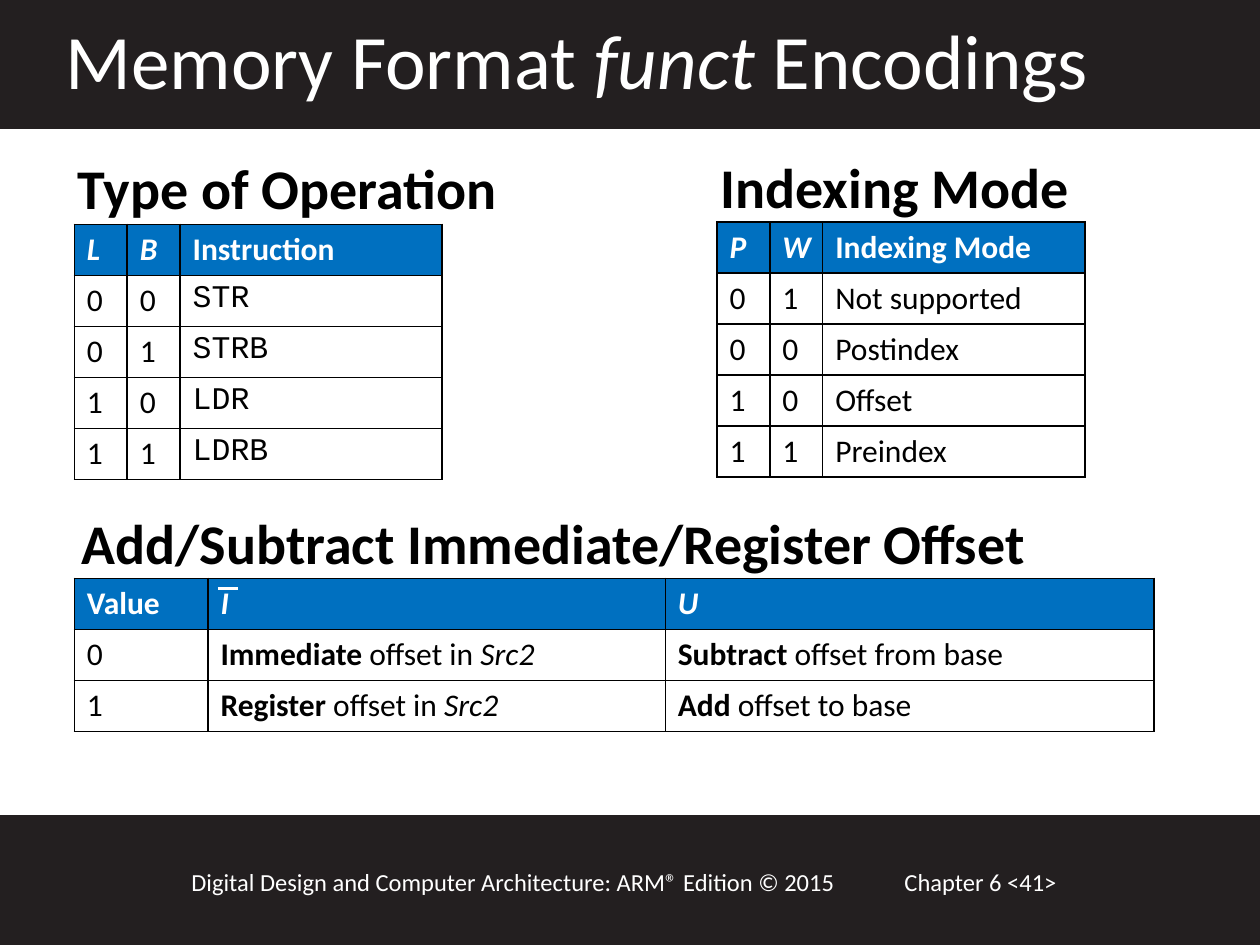
from lxml import etree
from pptx import Presentation
from pptx import util as u
from pptx.dml.color import RGBColor
from pptx.enum import shapes, text
from pptx.oxml.ns import qn

WIDTH, HEIGHT = u.Inches(10), u.Inches(7.5)
DARK, BLUE, WHITE, BLACK = "231F20", "0070C0", "FFFFFF", "000000"
SANS, MONO = "Calibri", "Courier New"
ROW_HEIGHT = 5.4

TITLE = [("Memory Format ", ""), ("funct", "i"), (" Encodings", "")]
TITLE_BOX = (4.2, 0.67, 94.9, 11.2)
BARS = [(0, 86.4, 100, 13.6), (0, 0, 100, 13.47)]
FOOTERS = [
    ("Chapter 6 <41>", (70.8, 91.07, 21.7, 4.53)),
    ("Digital Design and Computer Architecture: ARM® Edition © 2015",
     (14.2, 91.07, 57.5, 4.53)),
]
HEADINGS = [
    ("Type of Operation", (5.2, 16.4, 35.6, 7.87)),
    ("Indexing Mode", (56.2, 16.27, 29.9, 7.87)),
    ("Add/Subtract Immediate/Register Offset", (5.5, 54, 77.7, 7.87)),
]
TABLES = [
    {
        "corner": (5.9, 23.73),
        "columns": (4.2, 4.2, 20.8),
        "header": [("L", "i"), ("B", "i"), ("Instruction", "")],
        "rows": [
            ("0", "0", [("STR", "m")]),
            ("0", "1", [("STRB", "m")]),
            ("1", "0", [("LDR", "m")]),
            ("1", "1", [("LDRB", "m")]),
        ],
    },
    {
        "corner": (56.9, 23.47),
        "columns": (4.2, 4.2, 20.8),
        "header": [("P", "i"), ("W", "i"), ("Indexing Mode", "")],
        "rows": [
            ("0", "1", "Not supported"),
            ("0", "0", "Postindex"),
            ("1", "0", "Offset"),
            ("1", "1", "Preindex"),
        ],
    },
    {
        "corner": (5.9, 61.2),
        "columns": (10.6, 36.3, 38.8),
        "header": [("Value", ""), ("I", "i"), ("U", "i")],
        "rows": [
            ("0", [("Immediate", "b"), (" offset in ", ""), ("Src2", "i")],
             [("Subtract", "b"), (" offset from base", "")]),
            ("1", [("Register", "b"), (" offset in ", ""), ("Src2", "i")],
             [("Add", "b"), (" offset to base", "")]),
        ],
    },
]
OVERBAR = (17.3, 62.27, 18.9, 62.27)


def color(value):
    return RGBColor.from_string(value)


def place(shares):
    return [round(share * (HEIGHT if index % 2 else WIDTH) / 100)
            for index, share in enumerate(shares)]


def write(frame, runs, size, ink):
    paragraph = frame.paragraphs[0]
    paragraph.alignment = text.PP_ALIGN.LEFT
    for words, style in [(runs, "")] if isinstance(runs, str) else runs:
        run = paragraph.add_run()
        run.text = words
        formats = {"name": MONO if "m" in style else SANS, "size": u.Pt(size),
                   "bold": "b" in style, "italic": "i" in style}
        for name, value in formats.items():
            setattr(run.font, name, value)
        run.font.color.rgb = color(ink)
    return paragraph


def add_text(slide, runs, box, size, ink, wrap):
    frame = slide.shapes.add_textbox(*place(box)).text_frame
    frame.word_wrap = wrap
    return write(frame, runs, size, ink)


def add_bar(slide, box):
    bar = slide.shapes.add_shape(shapes.MSO_SHAPE.RECTANGLE, *place(box))
    bar.shadow.inherit = False
    bar.fill.solid()
    bar.fill.fore_color.rgb = color(DARK)
    bar.line.color.rgb = color(DARK)
    bar.line.width = u.Pt(2)


def style_cell(cell, runs, ink, fill):
    properties = cell._tc.get_or_add_tcPr()
    for side in ("lnL", "lnR", "lnT", "lnB"):
        border = etree.SubElement(properties, qn(f"a:{side}"), w=str(u.Pt(1)))
        solid = etree.SubElement(border, qn("a:solidFill"))
        etree.SubElement(solid, qn("a:srgbClr"), val=BLACK)
    cell.fill.solid()
    cell.fill.fore_color.rgb = color(fill)
    write(cell.text_frame, runs, 18, ink)


def add_grid(slide, corner, columns, header, rows):
    heads = [[(words, "b" + style)] for words, style in header]
    lines = [heads, *rows]
    box = place((*corner, sum(columns), ROW_HEIGHT * len(lines)))
    table = slide.shapes.add_table(len(lines), len(columns), *box).table
    table.first_row = table.horz_banding = False
    for column, share in zip(table.columns, columns):
        column.width = round(share * WIDTH / 100)
    for row_index, line in enumerate(lines):
        ink, fill = (BLACK, WHITE) if row_index else (WHITE, BLUE)
        for column_index, runs in enumerate(line):
            style_cell(table.cell(row_index, column_index), runs, ink, fill)


def add_overbar(slide):
    line = slide.shapes.add_connector(shapes.MSO_CONNECTOR.STRAIGHT, *place(OVERBAR))
    line.line.color.rgb = color(WHITE)
    line.line.width = u.Pt(2)
    etree.SubElement(line._element.spPr, qn("a:effectLst"))


def add_title(slide):
    title = slide.shapes.title
    title.left, title.top, title.width, title.height = place(TITLE_BOX)
    formats = {"word_wrap": True, "auto_size": text.MSO_AUTO_SIZE.NONE,
               "vertical_anchor": text.MSO_ANCHOR.TOP}
    for name, value in formats.items():
        setattr(title.text_frame, name, value)
    write(title.text_frame, TITLE, 44, WHITE)
    slide.shapes._spTree.append(title._element)


def main():
    presentation = Presentation()
    presentation.slide_width, presentation.slide_height = WIDTH, HEIGHT
    slide = presentation.slides.add_slide(presentation.slide_layouts[5])
    for box in BARS:
        add_bar(slide, box)
    for words, box in FOOTERS:
        add_text(slide, words, box, 14, WHITE, True)
    add_title(slide)
    for words, box in HEADINGS:
        paragraph = add_text(slide, [(words, "b")], box, 32, BLACK, False)
        paragraph.line_spacing = 0.9
    for table in TABLES:
        add_grid(slide, **table)
    add_overbar(slide)
    presentation.save("out.pptx")


if __name__ == "__main__":
    main()
